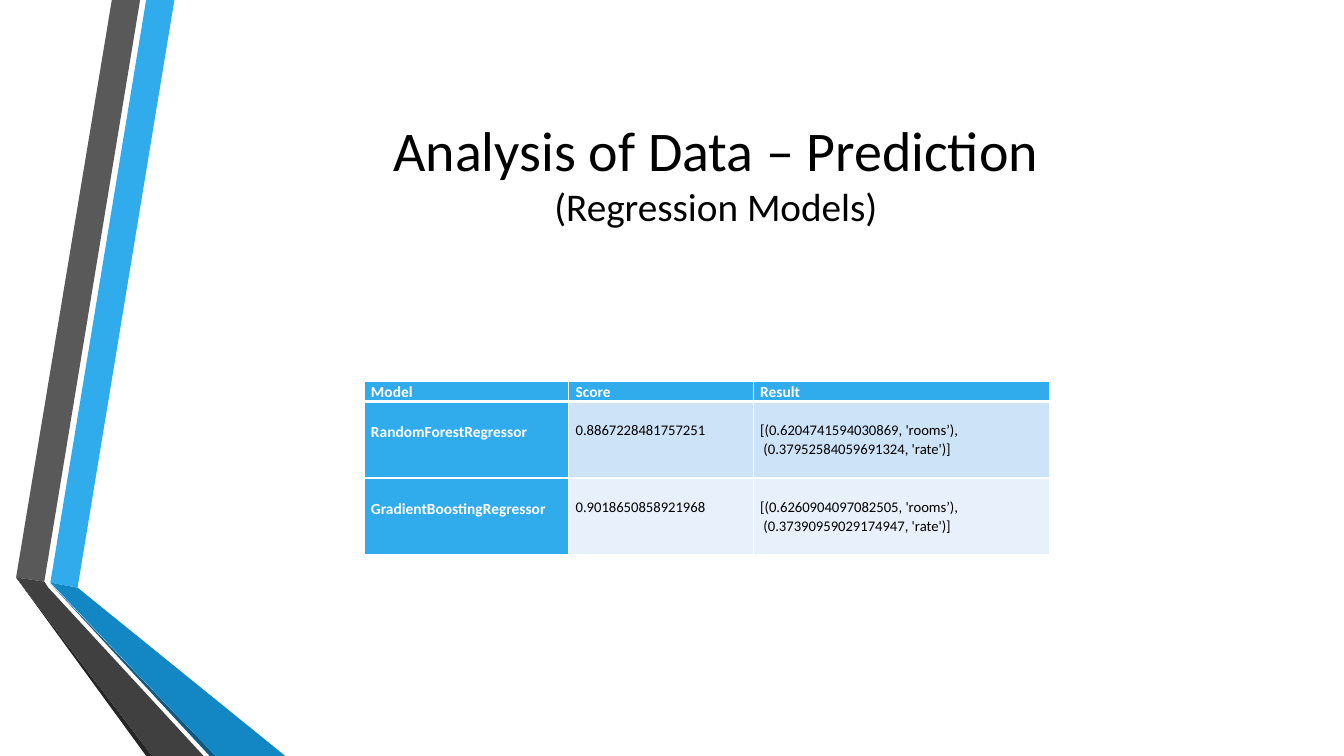
"""Build the slide that compares two regression models."""
from lxml import etree
from pptx import Presentation
from pptx.dml.color import RGBColor
from pptx.enum.text import MSO_ANCHOR, MSO_AUTO_SIZE, PP_ALIGN
from pptx.oxml.ns import qn
from pptx.util import Inches, Pt

CENTER = PP_ALIGN.CENTER
MIDDLE, TOP = MSO_ANCHOR.MIDDLE, MSO_ANCHOR.TOP
NO_AUTOFIT = MSO_AUTO_SIZE.NONE
TITLE_ONLY_LAYOUT = 5
FONT = "Calibri"

COLORS = {
    "white": "FFFFFF",
    "black": "000000",
    "blue": "30ACEC",
    "deep_blue": "1287C3",
    "navy": "0C5A82",
    "gray": "595959",
    "dark_gray": "404040",
    "charcoal": "262626",
    "band_1": "CDE3F8",
    "band_2": "E8F1FB",
}

RIBBONS = [
    ("blue", [(0.5, 5.78), (0.77, 5.83), (1.73, 0), (1.45, 0)]),
    ("gray", [(1.39, 0), (1.11, 0), (0.16, 5.73), (0.44, 5.77)]),
    ("charcoal", [(0.16, 5.73), (1.45, 7.5), (1.51, 7.5)]),
    ("navy", [(0.5, 5.79), (2.08, 7.5), (2.14, 7.5)]),
    ("deep_blue", [(0.5, 5.78), (2.14, 7.5), (2.83, 7.5), (0.77, 5.83)]),
    ("dark_gray", [(2.02, 7.5), (0.48, 5.83), (0.44, 5.77), (0.16, 5.73), (1.51, 7.5)]),
]

COLUMN_WIDTHS = [2.03, 1.83, 2.94]
ROW_HEIGHTS = [0.2, 0.76, 0.76]
MODEL_ROWS = [
    [["Model"], ["Score"], ["Result"]],
    [
        ["RandomForestRegressor"],
        ["0.8867228481757251"],
        ["[(0.6204741594030869, 'rooms’),", " (0.37952584059691324, 'rate')]"],
    ],
    [
        ["GradientBoostingRegressor"],
        ["0.9018650858921968"],
        ["[(0.6260904097082505, 'rooms’),", " (0.37390959029174947, 'rate')]"],
    ],
]


def rgb(name):
    """Return the named colour."""
    return RGBColor.from_string(COLORS[name])


def add_run(paragraph, text, size, color, bold=False):
    """Append a formatted run to a paragraph."""
    run = paragraph.add_run()
    run.text = text
    run.font.name = FONT
    run.font.size = Pt(size)
    run.font.bold = bold
    run.font.color.rgb = rgb(color)


def add_ribbon(slide, color, corners):
    """Draw one filled segment of the folded ribbons."""
    points = [(Inches(x), Inches(y)) for x, y in corners]
    outline = slide.shapes.build_freeform(*points[0])
    outline.add_line_segments(points[1:], close=True)
    ribbon = outline.convert_to_shape()
    ribbon.shadow.inherit = False
    ribbon.fill.solid()
    ribbon.fill.fore_color.rgb = rgb(color)
    ribbon.line.fill.background()


def fill_title(slide):
    """Place the two-line heading in the title placeholder."""
    title = slide.shapes.title
    title.left, title.top = Inches(1.62), Inches(0.75)
    title.width, title.height = Inches(10.96), Inches(1.92)
    frame = title.text_frame
    frame.word_wrap = True
    frame.auto_size = NO_AUTOFIT
    frame.vertical_anchor = MIDDLE
    heading = frame.paragraphs[0]
    heading.alignment = CENTER
    add_run(heading, "Analysis of Data – Prediction", 40, "black")
    heading.add_line_break()
    add_run(heading, "(Regression Models)", 28, "black")


def set_border(cell, side, points):
    """Give one side of a cell a white border."""
    properties = cell._tc.get_or_add_tcPr()
    border = etree.SubElement(properties, qn(f"a:{side}"), w=str(Pt(points)))
    fill = etree.SubElement(border, qn("a:solidFill"))
    etree.SubElement(fill, qn("a:srgbClr"), val=COLORS["white"])


def format_cell(cell, lines, row, column):
    """Write and style a cell according to its row and column."""
    is_label = row == 0 or column == 0
    top_width, bottom_width = 3 if row == 1 else 1, 3 if row == 0 else 1
    for side, points in (("lnL", 1), ("lnR", 1), ("lnT", top_width), ("lnB", bottom_width)):
        set_border(cell, side, points)
    cell.fill.solid()
    cell.fill.fore_color.rgb = rgb("blue" if is_label else f"band_{row}")
    cell.margin_left = cell.margin_right = Inches(0.07)
    cell.margin_top = Inches(0 if row == 0 else 0.2 if is_label else 0.19)
    cell.margin_bottom = Inches(0)
    cell.vertical_anchor = TOP
    for index, line in enumerate(lines):
        frame = cell.text_frame
        paragraph = frame.add_paragraph() if index else frame.paragraphs[0]
        paragraph.line_spacing = 1.07
        if is_label:
            add_run(paragraph, line, 11, "white", bold=True)
        else:
            add_run(paragraph, line, 10.5, "black")


def add_model_table(slide):
    """Add the table of model scores and feature weights."""
    scores = slide.shapes.add_table(
        len(ROW_HEIGHTS), len(COLUMN_WIDTHS), Inches(3.61), Inches(3.78),
        Inches(sum(COLUMN_WIDTHS)), Inches(sum(ROW_HEIGHTS)),
    ).table
    scores.horz_banding = False
    for column, width in zip(scores.columns, COLUMN_WIDTHS):
        column.width = Inches(width)
    for row, height in zip(scores.rows, ROW_HEIGHTS):
        row.height = Inches(height)
    for row, entries in enumerate(MODEL_ROWS):
        for column, lines in enumerate(entries):
            format_cell(scores.cell(row, column), lines, row, column)


def main():
    """Build and save the presentation."""
    deck = Presentation()
    deck.slide_width, deck.slide_height = Inches(13.33), Inches(7.5)
    slide = deck.slides.add_slide(deck.slide_layouts[TITLE_ONLY_LAYOUT])
    for color, corners in RIBBONS:
        add_ribbon(slide, color, corners)
    fill_title(slide)
    add_model_table(slide)
    deck.save("out.pptx")


if __name__ == "__main__":
    main()
